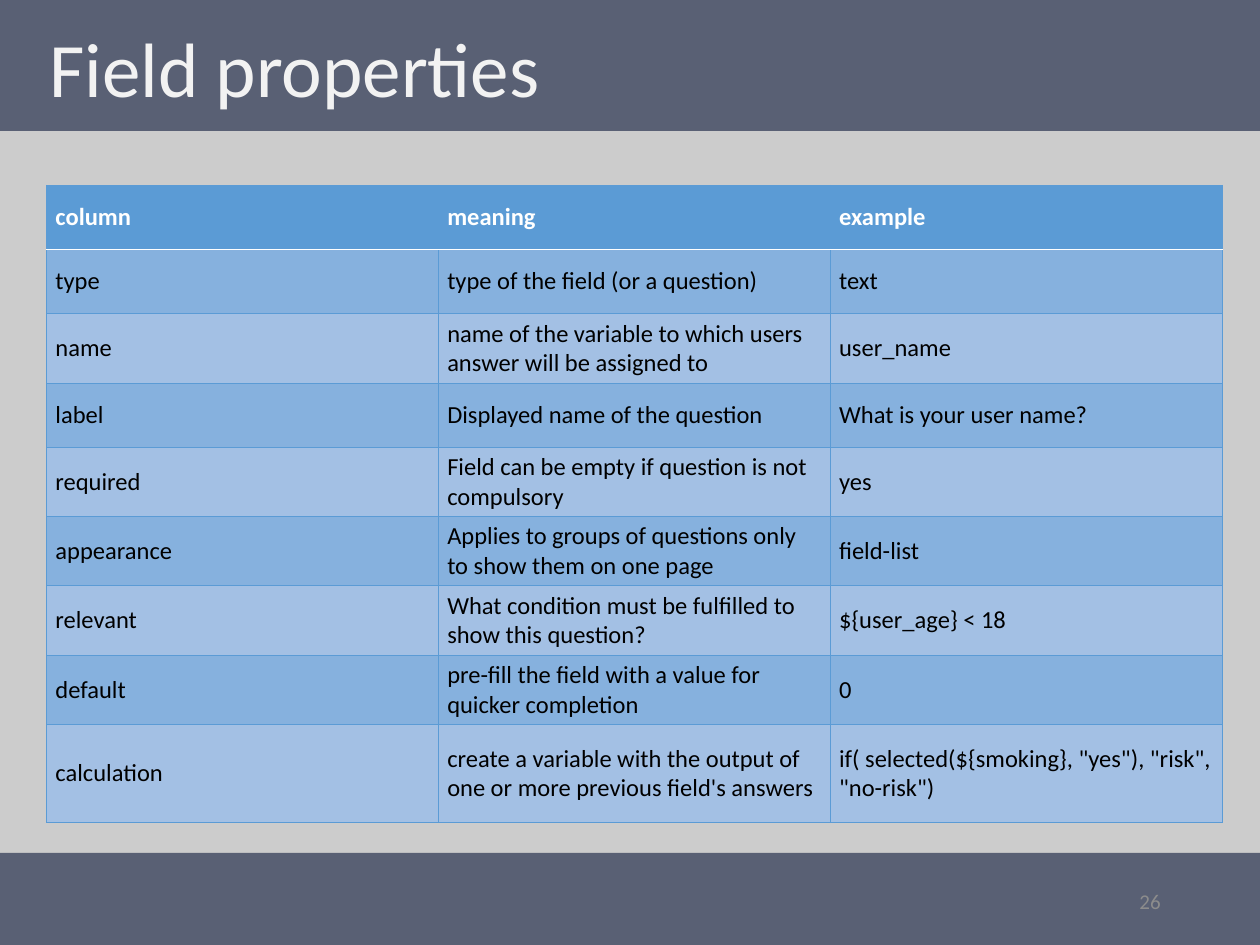
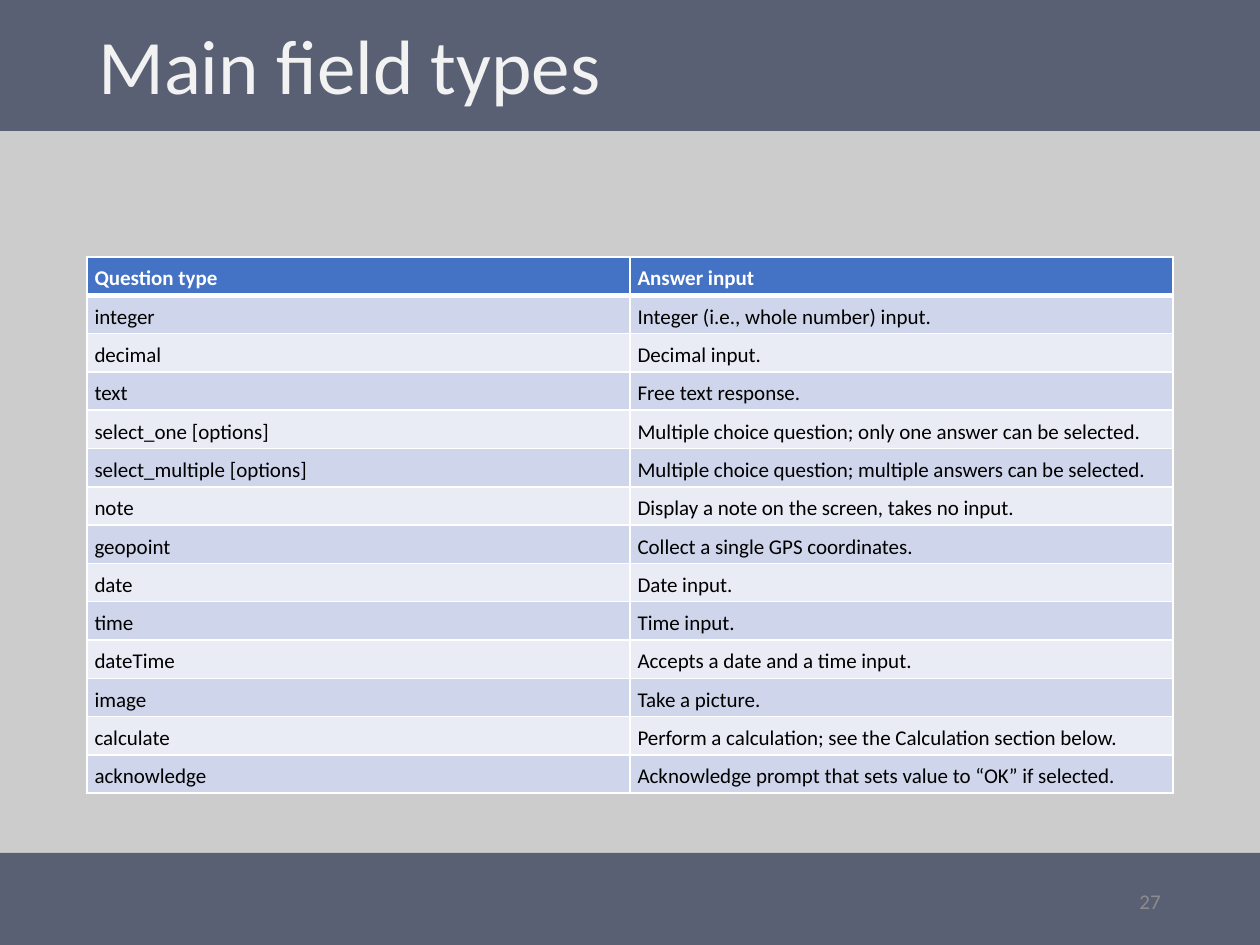
from dataclasses import dataclass

from lxml.etree import SubElement
from pptx import Presentation
from pptx.dml.color import RGBColor
from pptx.enum.shapes import MSO_SHAPE
from pptx.enum.text import MSO_ANCHOR, PP_ALIGN
from pptx.oxml.ns import qn
from pptx.util import Inches, Pt

FONT = "Calibri"
BACKGROUND = "CCCCCC"
BAND = "596074"
TITLE_TEXT = "F2F2F2"
NUMBER_TEXT = "8C8C8C"
WHITE = "FFFFFF"
BLACK = "000000"
BANDS = [(6.77, 0.76), (0, 1.04)]

FIELD_PROPERTIES = [
    ("column", "meaning", "example"),
    ("type", "type of the field (or a question)", "text"),
    ("name", "name of the variable to which users answer will be assigned to", "user_name"),
    ("label", "Displayed name of the question", "What is your user name?"),
    ("required", "Field can be empty if question is not compulsory", "yes"),
    ("appearance", "Applies to groups of questions only to show them on one page", "field-list"),
    ("relevant", "What condition must be fulfilled to show this question?", "${user_age} < 18"),
    ("default", "pre-fill the field with a value for quicker completion", "0"),
    ("calculation", "create a variable with the output of one or more previous field's answers",
     'if( selected(${smoking}, "yes"), "risk", "no-risk")'),
]
FIELD_TYPES = [
    ("Question type", "Answer input"),
    ("integer", "Integer (i.e., whole number) input."),
    ("decimal", "Decimal input."),
    ("text", "Free text response."),
    ("select_one [options]", "Multiple choice question; only one answer can be selected."),
    ("select_multiple [options]", "Multiple choice question; multiple answers can be selected."),
    ("note", "Display a note on the screen, takes no input."),
    ("geopoint", "Collect a single GPS coordinates."),
    ("date", "Date input."),
    ("time", "Time input."),
    ("dateTime", "Accepts a date and a time input."),
    ("image", "Take a picture."),
    ("calculate", "Perform a calculation; see the Calculation section below."),
    ("acknowledge", "Acknowledge prompt that sets value to “OK” if selected."),
]


@dataclass
class TableStyle:
    header: str
    stripes: tuple
    border: tuple
    header_rule: tuple
    size: int
    anchor: MSO_ANCHOR
    margins: tuple


PROPERTIES_STYLE = TableStyle("5B9BD5", ("86B1DE", "A3C0E4"), ("5B9BD5", 0.5), (WHITE, 1),
                              14, MSO_ANCHOR.MIDDLE, (0.07, 0.04, 0.07, 0.04))
TYPES_STYLE = TableStyle("4472C4", ("CFD5EA", "E9EBF5"), (WHITE, 1), (WHITE, 3),
                         12, MSO_ANCHOR.BOTTOM, (0.06, 0.06, 0.06, 0.03))


def rgb(value):
    return RGBColor.from_string(value)


def format_paragraph(paragraph, size, color, align=PP_ALIGN.LEFT, bold=False):
    paragraph.alignment = align
    font = paragraph.font
    font.name, font.size, font.bold = FONT, Pt(size), bold
    font.color.rgb = rgb(color)


def add_band(slide, top, height):
    band = slide.shapes.add_shape(MSO_SHAPE.RECTANGLE, 0, Inches(top), Inches(10), Inches(height))
    band.shadow.inherit = False
    band.fill.solid()
    band.fill.fore_color.rgb = rgb(BAND)
    band.line.fill.background()


def place_title(slide, text, left, top, height):
    title = slide.shapes.title
    title.left, title.top = Inches(left), Inches(top)
    title.width, title.height = Inches(8.62), Inches(height)
    title.element.getparent().append(title.element)
    frame = title.text_frame
    frame.text = text
    frame.vertical_anchor = MSO_ANCHOR.MIDDLE
    format_paragraph(frame.paragraphs[0], 44, TITLE_TEXT)
    frame.paragraphs[0].line_spacing = 0.9


def add_slide_number(slide, number):
    box = slide.shapes.add_textbox(Inches(7.06), Inches(6.95), Inches(2.25), Inches(0.4))
    frame = box.text_frame
    frame.word_wrap = True
    frame.vertical_anchor = MSO_ANCHOR.MIDDLE
    frame.text = str(number)
    format_paragraph(frame.paragraphs[0], 12, NUMBER_TEXT, PP_ALIGN.RIGHT)


def add_titled_slide(deck, title, left, top, height, number):
    slide = deck.slides.add_slide(deck.slide_layouts[5])
    slide.background.fill.solid()
    slide.background.fill.fore_color.rgb = rgb(BACKGROUND)
    for band_top, band_height in BANDS:
        add_band(slide, band_top, band_height)
    place_title(slide, title, left, top, height)
    add_slide_number(slide, number)
    return slide


def set_borders(cell, **sides):
    properties = cell._tc.get_or_add_tcPr()
    for side in "LRTB":
        color, width = sides[side]
        line = SubElement(properties, qn(f"a:ln{side}"), w=str(Pt(width)))
        SubElement(SubElement(line, qn("a:solidFill")), qn("a:srgbClr"), val=color)


def format_cell(cell, text, row, style):
    is_header = row == 0
    top = style.header_rule if row == 1 else style.border
    bottom = style.header_rule if is_header else style.border
    set_borders(cell, L=style.border, R=style.border, T=top, B=bottom)
    cell.fill.solid()
    cell.fill.fore_color.rgb = rgb(style.header if is_header else style.stripes[(row - 1) % 2])
    cell.vertical_anchor = style.anchor
    cell.margin_left, cell.margin_top, cell.margin_right, cell.margin_bottom = map(Inches, style.margins)
    cell.text = text
    format_paragraph(cell.text_frame.paragraphs[0], style.size,
                     WHITE if is_header else BLACK, bold=is_header)


def add_styled_table(slide, rows, left, top, width, heights, style):
    frame = slide.shapes.add_table(len(rows), len(rows[0]), Inches(left), Inches(top),
                                   Inches(width), Inches(sum(heights)))
    table = frame.table
    for row, (texts, height) in enumerate(zip(rows, heights)):
        table.rows[row].height = Inches(height)
        for column, text in enumerate(texts):
            format_cell(table.cell(row, column), text, row, style)


def main():
    deck = Presentation()
    deck.slide_width, deck.slide_height = Inches(10), Inches(7.5)

    properties = add_titled_slide(deck, "Field properties", 0.29, 0.03, 1.09, 26)
    property_heights = [0.51, 0.51, 0.55, 0.51] + [0.55] * 4 + [0.78]
    add_styled_table(properties, FIELD_PROPERTIES, 0.37, 1.47, 9.33, property_heights, PROPERTIES_STYLE)

    types = add_titled_slide(deck, "Main field types", 0.68, -0.17, 1.45, 27)
    type_heights = [4.26 / len(FIELD_TYPES)] * len(FIELD_TYPES)
    add_styled_table(types, FIELD_TYPES, 0.69, 2.04, 8.62, type_heights, TYPES_STYLE)

    deck.save("out.pptx")


if __name__ == "__main__":
    main()
